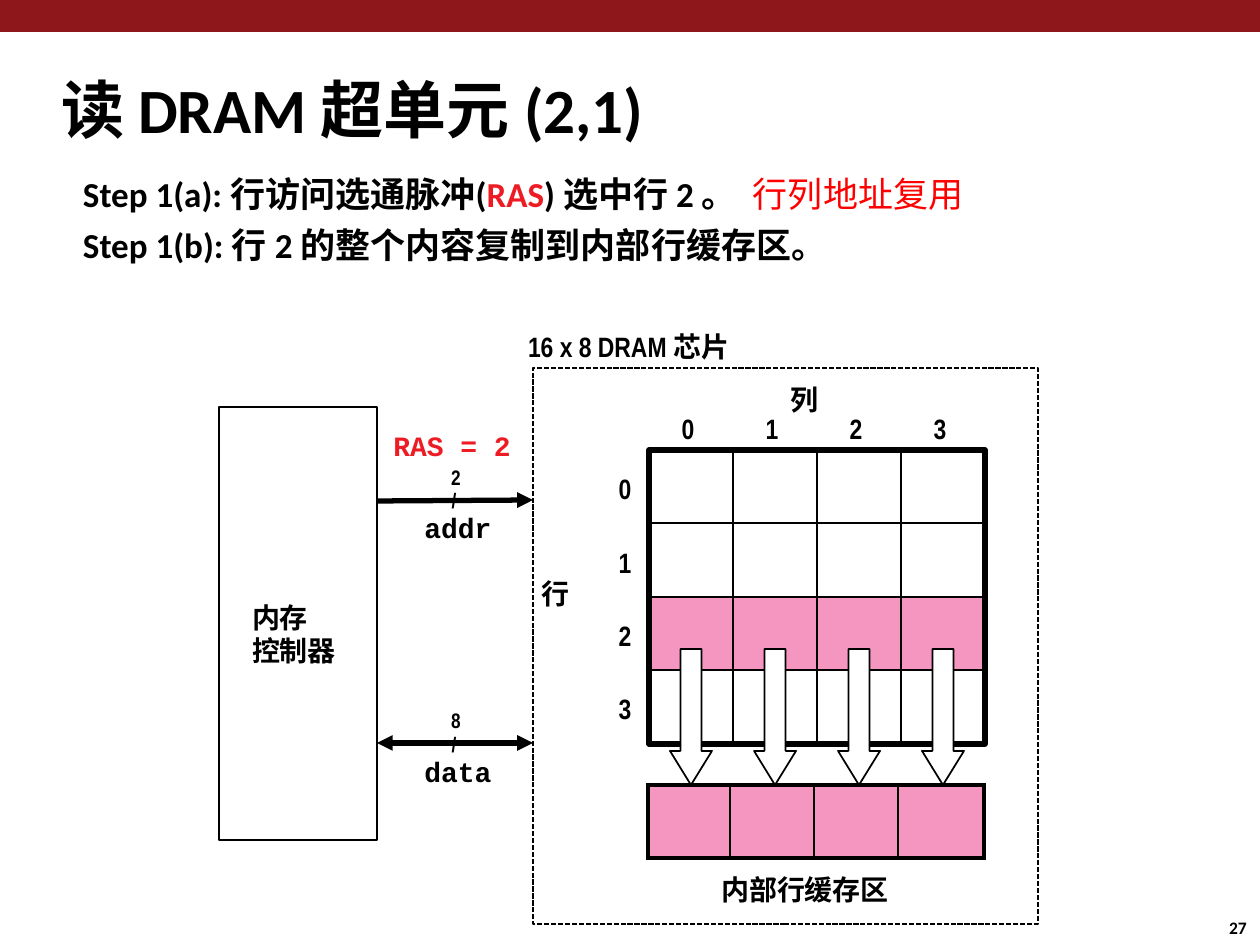
from dataclasses import dataclass

from lxml.etree import SubElement
from pptx import Presentation
from pptx.dml.color import RGBColor
from pptx.enum.dml import MSO_LINE
from pptx.enum.shapes import MSO_CONNECTOR, MSO_SHAPE
from pptx.enum.text import MSO_ANCHOR, PP_ALIGN
from pptx.oxml.ns import qn
from pptx.util import Pt

EMU_PER_PX = 914400 / 126


def px(length):
    return round(length * EMU_PER_PX)


@dataclass(frozen=True)
class Theme:
    black: str = "000000"
    white: str = "FFFFFF"
    banner: str = "8D171A"
    signal: str = "ED1C24"
    remark: str = "FF0000"
    active: str = "F496BF"
    body_font: str = "Calibri"
    label_font: str = "Arial Narrow"
    code_font: str = "Courier New"
    title_size: int = 36
    step_size: int = 20
    label_size: int = 16
    width_size: int = 12
    number_size: int = 10
    thin: int = 1
    thick: int = 3


class SlideBuilder:
    def __init__(self, slide, theme):
        self.shapes = slide.shapes
        self.theme = theme

    def box(self, x, y, w, h, fill=None, line=None, kind=MSO_SHAPE.RECTANGLE):
        shape = self.shapes.add_shape(kind, px(x), px(y), px(w), px(h))
        shape.shadow.inherit = False
        if fill:
            shape.fill.solid()
            shape.fill.fore_color.rgb = RGBColor.from_string(fill)
        else:
            shape.fill.background()
        if line:
            shape.line.width = Pt(line)
            shape.line.color.rgb = RGBColor.from_string(self.theme.black)
        else:
            shape.line.fill.background()
        return shape

    def fill_text(self, frame, paragraphs, size, font, align=PP_ALIGN.LEFT, gap=0, inset=(0, 0)):
        """Each paragraph is a list of (text, colour, bold) runs."""
        frame.word_wrap = True
        frame.vertical_anchor = MSO_ANCHOR.TOP
        frame.margin_left, frame.margin_top = px(inset[0]), px(inset[1])
        frame.margin_right = frame.margin_bottom = 0
        for index, runs in enumerate(paragraphs):
            paragraph = frame.add_paragraph() if index else frame.paragraphs[0]
            paragraph.alignment = align
            if index and gap:
                paragraph.space_before = Pt(gap)
            for text, color, bold in runs:
                run = paragraph.add_run()
                run.text = text
                run.font.size = Pt(size)
                run.font.name = font
                run.font.bold = bold
                run.font.color.rgb = RGBColor.from_string(color)

    def text(self, x, y, w, h, paragraphs, size, font, **options):
        frame = self.shapes.add_textbox(px(x), px(y), px(w), px(h)).text_frame
        self.fill_text(frame, paragraphs, size, font, **options)

    def label(self, center, y, w, text, size=None, font=None, color=None):
        theme = self.theme
        self.text(center - w // 2, y, w, 34, [[(text, color or theme.black, True)]],
                  size or theme.label_size, font or theme.label_font,
                  align=PP_ALIGN.CENTER)

    def arrow(self, start, end, both=False):
        connector = self.shapes.add_connector(
            MSO_CONNECTOR.STRAIGHT, *(px(value) for value in (*start, *end)))
        connector.line.width = Pt(self.theme.thick)
        connector.line.color.rgb = RGBColor.from_string(self.theme.black)
        properties = connector._element.spPr
        line = properties.find(qn("a:ln"))
        for tag in ("a:headEnd", "a:tailEnd") if both else ("a:tailEnd",):
            SubElement(line, qn(tag), type="triangle")
        SubElement(properties, qn("a:effectLst"))

    def border(self, cell, side, width):
        properties = cell._tc.get_or_add_tcPr()
        line = SubElement(properties, qn(f"a:ln{side}"), w=str(Pt(width)))
        fill = SubElement(line, qn("a:solidFill"))
        SubElement(fill, qn("a:srgbClr"), val=self.theme.black)

    def row_table(self, x, y, widths, h, fill):
        theme = self.theme
        table = self.shapes.add_table(1, len(widths), px(x), px(y), px(sum(widths)), px(h)).table
        table.first_row = table.horz_banding = False
        last = len(widths) - 1
        for index, width in enumerate(widths):
            table.columns[index].width = px(width)
            cell = table.cell(0, index)
            self.border(cell, "L", theme.thick if index == 0 else theme.thin)
            self.border(cell, "R", theme.thick if index == last else theme.thin)
            self.border(cell, "T", theme.thick)
            self.border(cell, "B", theme.thick)
            cell.fill.solid()
            cell.fill.fore_color.rgb = RGBColor.from_string(fill)


def main():
    theme = Theme()
    deck = Presentation()
    deck.slide_width, deck.slide_height = px(1260), px(945)
    page = SlideBuilder(deck.slides.add_slide(deck.slide_layouts[6]), theme)
    black = theme.black

    # Banner, title and steps
    page.box(0, 0, 1260, 32, fill=theme.banner)
    page.text(61, 71, 786, 76, [[("读 DRAM 超单元 (2,1)", black, True)]],
              theme.title_size, theme.body_font)
    steps = [
        [("Step 1(a): 行访问选通脉冲(", black, True),
         ("RAS", theme.signal, True),
         (") 选中行 2 。  ", black, True),
         ("行列地址复用", theme.remark, False)],
        [("Step 1(b): 行 2 的整个内容复制到内部行缓存区。", black, True)],
    ]
    page.text(83, 173, 1113, 100, steps, theme.step_size, theme.body_font, gap=4.8)

    # DRAM chip outline
    page.text(528, 330, 260, 34, [[("16 x 8 DRAM 芯片", black, True)]],
              theme.label_size, theme.label_font)
    chip = page.box(533, 368, 505, 556, line=theme.thin)
    chip.line.dash_style = MSO_LINE.SQUARE_DOT

    # Memory controller
    controller = page.box(219, 407, 158, 433, fill=theme.white, line=theme.thin)
    page.fill_text(controller.text_frame, [[("内存", black, True)], [("控制器", black, True)]],
                   theme.label_size, theme.label_font, inset=(33, 193))

    # Address and data lines
    page.label(452, 429, 140, "RAS = 2", font=theme.code_font, color=theme.signal)
    page.arrow((377, 501), (533, 500))
    page.arrow((377, 743), (533, 743), both=True)
    for bus_y, bits, bus in ((500, "2", "addr"), (744, "8", "data")):
        page.label(456, bus_y - 36, 40, bits, size=theme.width_size)
        page.label(454, bus_y - 12, 40, "/", size=theme.width_size)
        page.label(458, bus_y + 11, 100, bus, font=theme.code_font)

    # Supercell array with the selected row
    grid_x, grid_y, cell_w, grid_h = 649, 450, 84, 294
    count, selected = 4, 2
    edges = [grid_y + grid_h * row // count for row in range(count + 1)]
    page.label(804, 383, 53, "列")
    page.label(555, 577, 53, "行")
    for index in range(count):
        page.label(grid_x + cell_w * index + 39, 412, 40, str(index))
        page.label(625, edges[index] + 22, 40, str(index))
    for row in range(count):
        for column in range(count):
            page.box(grid_x + cell_w * column, edges[row], cell_w, edges[row + 1] - edges[row],
                     fill=theme.active if row == selected else None, line=theme.thin)
    page.box(grid_x, grid_y, cell_w * count, grid_h, line=theme.thick)

    # Internal row buffer
    page.row_table(648, 785, (82, 84, 84, 86), 73, theme.active)
    page.label(805, 873, 220, "内部行缓存区")

    # Copy of the selected row into the buffer
    for column in range(count):
        copy_arrow = page.box(grid_x + cell_w * column + 21, 649, 42, 136, fill=theme.white,
                              line=theme.thin, kind=MSO_SHAPE.DOWN_ARROW)
        copy_arrow.adjustments[0] = 0.5
        copy_arrow.adjustments[1] = 0.81

    # Page number
    page.label(1238, 917, 40, "27", size=theme.number_size, font=theme.body_font)

    deck.save("out.pptx")


if __name__ == "__main__":
    main()
